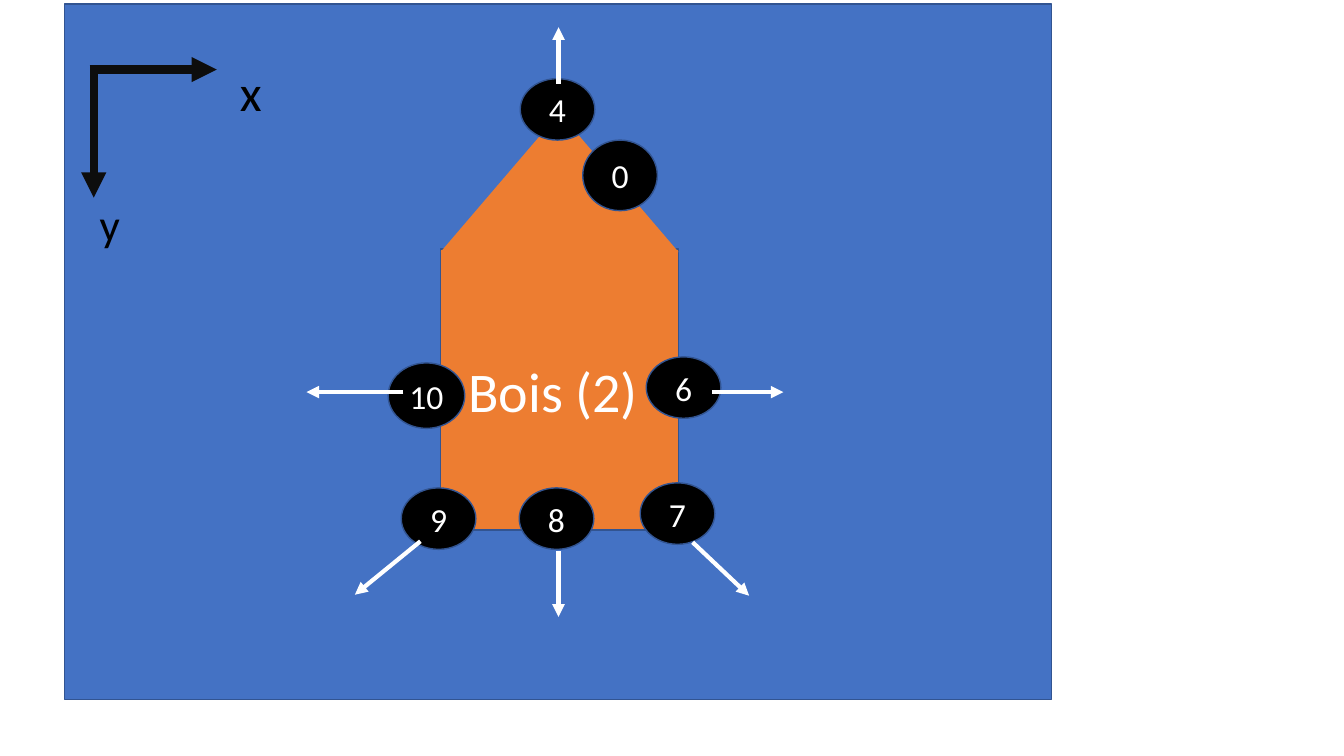
from pptx import Presentation
from pptx.dml.color import RGBColor
from pptx.enum.shapes import MSO_CONNECTOR, MSO_SHAPE
from pptx.enum.text import MSO_ANCHOR, PP_ALIGN
from pptx.oxml.ns import qn
from pptx.util import Inches, Pt
from lxml.etree import SubElement

COLORS = {
    "field": "4472C4",
    "wood": "ED7D31",
    "outline": "325491",
    "black": "000000",
    "axis": "0D0D0D",
    "white": "FFFFFF",
}

presentation = Presentation()
presentation.slide_width = Inches(13.33)
presentation.slide_height = Inches(7.5)
slide = presentation.slides.add_slide(presentation.slide_layouts[6])


def color(name):
    return RGBColor.from_string(COLORS[name])


def write_text(shape, text, size, color_name, wrap):
    shape.text_frame.word_wrap = wrap
    paragraph = shape.text_frame.paragraphs[0]
    paragraph.text = text
    font_format = {"name": "Calibri", "size": Pt(size)}
    for attribute, value in font_format.items():
        setattr(paragraph.font, attribute, value)
    paragraph.font.color.rgb = color(color_name)
    return paragraph


# Field, wooden body with its roof, and numbered circles
circle_size = (0.74, 0.61)
shapes = [
    (MSO_SHAPE.RECTANGLE, 0.64, 0.04, 9.79, 6.9, "field", "", 0),
    (MSO_SHAPE.RECTANGLE, 4.37, 2.47, 2.36, 2.79, "wood", "Bois (2) ", 40),
    (MSO_SHAPE.ISOSCELES_TRIANGLE, 4.37, 1.12, 2.36, 1.38, "wood", "", 0),
]
circles = [
    ("6", 6.41, 3.54, *circle_size),
    ("7", 6.35, 4.79, *circle_size),
    ("8", 5.15, 4.84, *circle_size),
    ("9", 3.98, 4.84, *circle_size),
    ("10", 3.85, 3.6, 0.76, 0.65),
    ("4", 5.16, 0.78, *circle_size),
    ("0", 5.78, 1.39, 0.74, 0.7),
]
for number, *box in circles:
    shapes.append((MSO_SHAPE.OVAL, *box, "black", number, 24))

for kind, left, top, width, height, fill, text, size in shapes:
    shape = slide.shapes.add_shape(
        kind, Inches(left), Inches(top), Inches(width), Inches(height))
    shape.shadow.inherit = False
    shape.fill.solid()
    shape.fill.fore_color.rgb = color(fill)
    if kind == MSO_SHAPE.ISOSCELES_TRIANGLE:
        shape.line.fill.background()
    else:
        shape.line.color.rgb = color("outline")
        shape.line.width = Pt(1)
    if text:
        paragraph = write_text(shape, text, size, "white", kind != MSO_SHAPE.OVAL)
        paragraph.alignment = PP_ALIGN.CENTER
        shape.text_frame.vertical_anchor = MSO_ANCHOR.MIDDLE

# Direction arrows, then the two axes
arrows = [
    (7.06, 3.89, 7.77, 3.89, "white", 3),
    (6.87, 5.38, 7.43, 5.91, "white", 3),
    (4, 3.89, 3.04, 3.89, "white", 3),
    (4.17, 5.37, 3.52, 5.9, "white", 3),
    (5.54, 5.47, 5.54, 6.12, "white", 3),
    (5.54, 0.83, 5.54, 0.27, "white", 3),
    (0.89, 0.69, 2.15, 0.69, "axis", 6),
    (0.93, 0.69, 0.93, 1.96, "axis", 6),
]
for start_x, start_y, end_x, end_y, line_color, width in arrows:
    arrow = slide.shapes.add_connector(
        MSO_CONNECTOR.STRAIGHT,
        Inches(start_x), Inches(start_y), Inches(end_x), Inches(end_y))
    arrow.line.color.rgb = color(line_color)
    arrow.line.width = Pt(width)
    SubElement(arrow.line._get_or_add_ln(), qn("a:tailEnd"), type="triangle")
    SubElement(arrow._element.spPr, qn("a:effectLst"))

# Axis labels
labels = [
    ("x", 2.28, 0.56, 0.71, 36),
    ("y", 0.89, 1.9, 0.64, 32),
]
for text, left, top, height, size in labels:
    label = slide.shapes.add_textbox(
        Inches(left), Inches(top), Inches(0.58), Inches(height))
    write_text(label, text, size, "black", True)

presentation.save("out.pptx")
